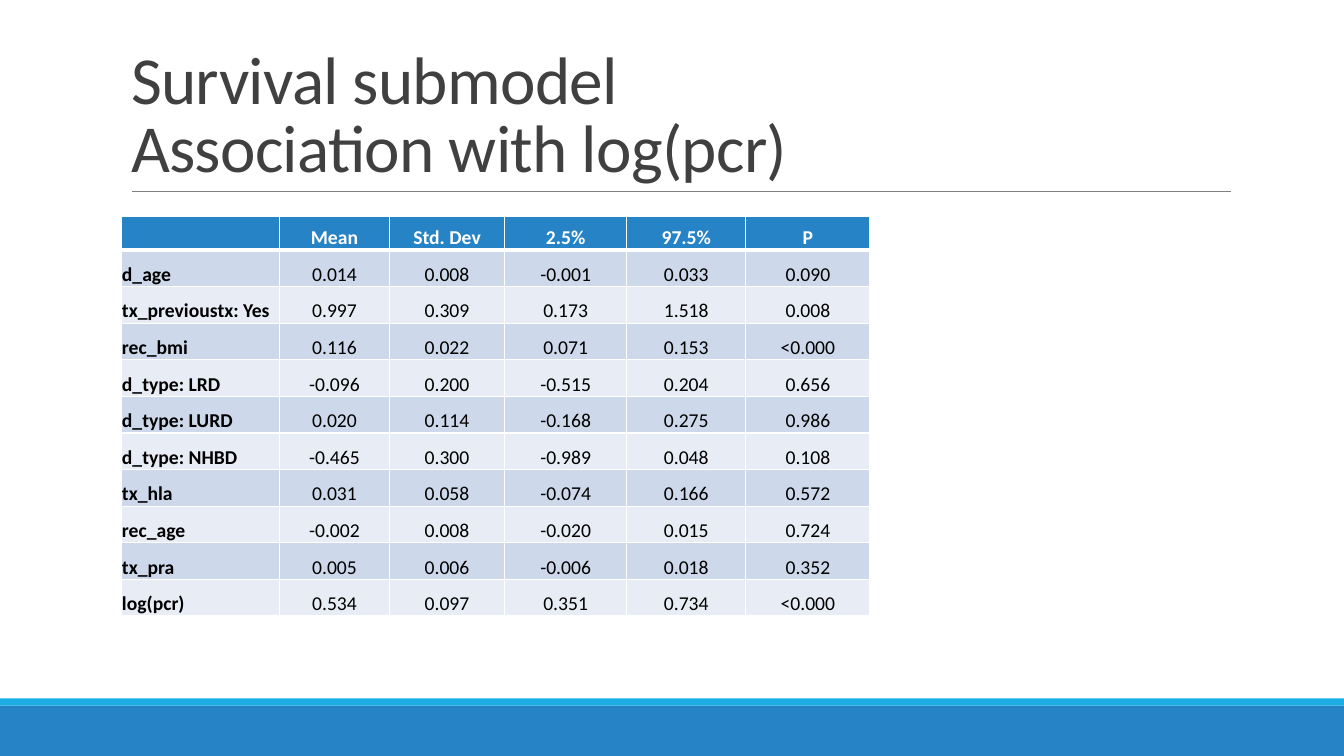
from dataclasses import dataclass

from lxml import etree
from pptx import Presentation
from pptx import util as u
from pptx.dml.color import RGBColor
from pptx.enum import shapes, text
from pptx.oxml.ns import qn


@dataclass(frozen=True)
class Theme:
    """Colours, font and type sizes of the slide."""
    font: str = "Calibri"
    title_size: float = 48
    table_size: float = 14
    title: str = "404040"
    body: str = "000000"
    white: str = "FFFFFF"
    rule: str = "808080"
    blue: str = "2683C6"
    cyan: str = "1CADE4"
    bands: tuple = ("CDD9EA", "E8EDF5")


T = Theme()

HEADER = ["", "Mean", "Std. Dev", "2.5%", "97.5%", "P"]
ESTIMATES = [
    ["d_age", "0.014", "0.008", "-0.001", "0.033", "0.090"],
    ["tx_previoustx: Yes", "0.997", "0.309", "0.173", "1.518", "0.008"],
    ["rec_bmi", "0.116", "0.022", "0.071", "0.153", "<0.000"],
    ["d_type: LRD", "-0.096", "0.200", "-0.515", "0.204", "0.656"],
    ["d_type: LURD", "0.020", "0.114", "-0.168", "0.275", "0.986"],
    ["d_type: NHBD", "-0.465", "0.300", "-0.989", "0.048", "0.108"],
    ["tx_hla", "0.031", "0.058", "-0.074", "0.166", "0.572"],
    ["rec_age", "-0.002", "0.008", "-0.020", "0.015", "0.724"],
    ["tx_pra", "0.005", "0.006", "-0.006", "0.018", "0.352"],
    ["log(pcr)", "0.534", "0.097", "0.351", "0.734", "<0.000"],
]
COL_WIDTHS = [1.57, 1.09, 1.14, 1.21, 1.18, 1.23]
HEADER_HEIGHT = 0.33


def rgb(value):
    """Turn a hex string into a colour."""
    return RGBColor.from_string(value)


def format_runs(p, size, color, bold=False):
    """Format every run of a paragraph."""
    for r in p.runs:
        r.font.name, r.font.size, r.font.bold = T.font, u.Pt(size), bold
        r.font.color.rgb = rgb(color)


def add_bar(s, x, y, w, h, color):
    """Add a plain filled bar."""
    sp = s.shapes.add_shape(shapes.MSO_SHAPE.RECTANGLE, *map(u.Inches, (x, y, w, h)))
    sp.shadow.inherit = False
    sp.fill.solid()
    sp.fill.fore_color.rgb = rgb(color)
    sp.line.fill.background()


def add_footer(s, x, y, w, h):
    """Add the footer band with its thin accent on top."""
    accent = 0.07
    add_bar(s, x, y + accent, w, h - accent, T.blue)
    add_bar(s, x, y, w, accent, T.cyan)


def add_title(s, x, y, w, h, lines):
    """Place the title placeholder and the rule along its bottom edge."""
    inset = 0.11
    rule = s.shapes.add_connector(
        shapes.MSO_CONNECTOR.STRAIGHT,
        *map(u.Inches, (x + inset, y + h, x + w + 0.01, y + h)))
    rule.line.color.rgb, rule.line.width = rgb(T.rule), u.Pt(0.5)
    etree.SubElement(rule._element.spPr, qn("a:effectLst"))

    sp = s.shapes.title
    sp.left, sp.top, sp.width, sp.height = map(u.Inches, (x, y, w, h))
    tf = sp.text_frame
    tf.text = "\v".join(lines)
    tf.word_wrap, tf.auto_size = True, text.MSO_AUTO_SIZE.NONE
    tf.vertical_anchor = text.MSO_ANCHOR.BOTTOM
    p = tf.paragraphs[0]
    p.alignment, p.line_spacing = text.PP_ALIGN.LEFT, 0.85
    format_runs(p, T.title_size, T.title)
    for r in p.runs:
        r.font._element.set("spc", "-50")


def set_borders(cell, top, bottom):
    """Draw white borders, with the top and bottom widths in points."""
    tc_pr = cell._tc.get_or_add_tcPr()
    for side, width in zip("LRTB", (1, 1, top, bottom)):
        ln = etree.SubElement(tc_pr, qn(f"a:ln{side}"), w=str(u.Pt(width)))
        fill = etree.SubElement(ln, qn("a:solidFill"))
        etree.SubElement(fill, qn("a:srgbClr"), val=T.white)


def format_cell(cell, value, row, col):
    """Fill in one cell and style it by its row and column."""
    is_header = row == 0
    set_borders(cell, 3 if row == 1 else 1, 3 if is_header else 1)
    cell.fill.solid()
    cell.fill.fore_color.rgb = rgb(T.blue if is_header else T.bands[(row - 1) % 2])
    cell.margin_left = cell.margin_right = cell.margin_top = u.Inches(0.01)
    cell.margin_bottom = 0
    cell.vertical_anchor = text.MSO_ANCHOR.BOTTOM
    p = cell.text_frame.paragraphs[0]
    p.text = value
    p.alignment = text.PP_ALIGN.CENTER if col else text.PP_ALIGN.LEFT
    format_runs(p, T.table_size, T.white if is_header else T.body,
                bold=is_header or col == 0)


def add_estimates(s, x, y, w, h):
    """Add the table of model estimates, scaled to the box."""
    rows = [HEADER] + ESTIMATES
    table = s.shapes.add_table(len(rows), len(HEADER),
                               *map(u.Inches, (x, y, w, h))).table
    for column, width in zip(table.columns, COL_WIDTHS):
        column.width = u.Inches(width * w / sum(COL_WIDTHS))
    body_height = (h - HEADER_HEIGHT) / len(ESTIMATES)
    for i, values in enumerate(rows):
        table.rows[i].height = u.Inches(body_height if i else HEADER_HEIGHT)
        for j, value in enumerate(values):
            format_cell(table.cell(i, j), value, i, j)


def build_survival_slide(prs):
    """Build the survival submodel slide."""
    s = prs.slides.add_slide(prs.slide_layouts[5])
    add_footer(s, 0, 6.93, 13.33, 0.57)
    add_title(s, 1.2, 0.31, 11, 1.59,
              ["Survival submodel ", "Association with log(pcr)"])
    add_estimates(s, 1.2, 2.15, 7.43, 3.96)


prs = Presentation()
prs.slide_width, prs.slide_height = u.Inches(13.33), u.Inches(7.5)
build_survival_slide(prs)
prs.save("out.pptx")
